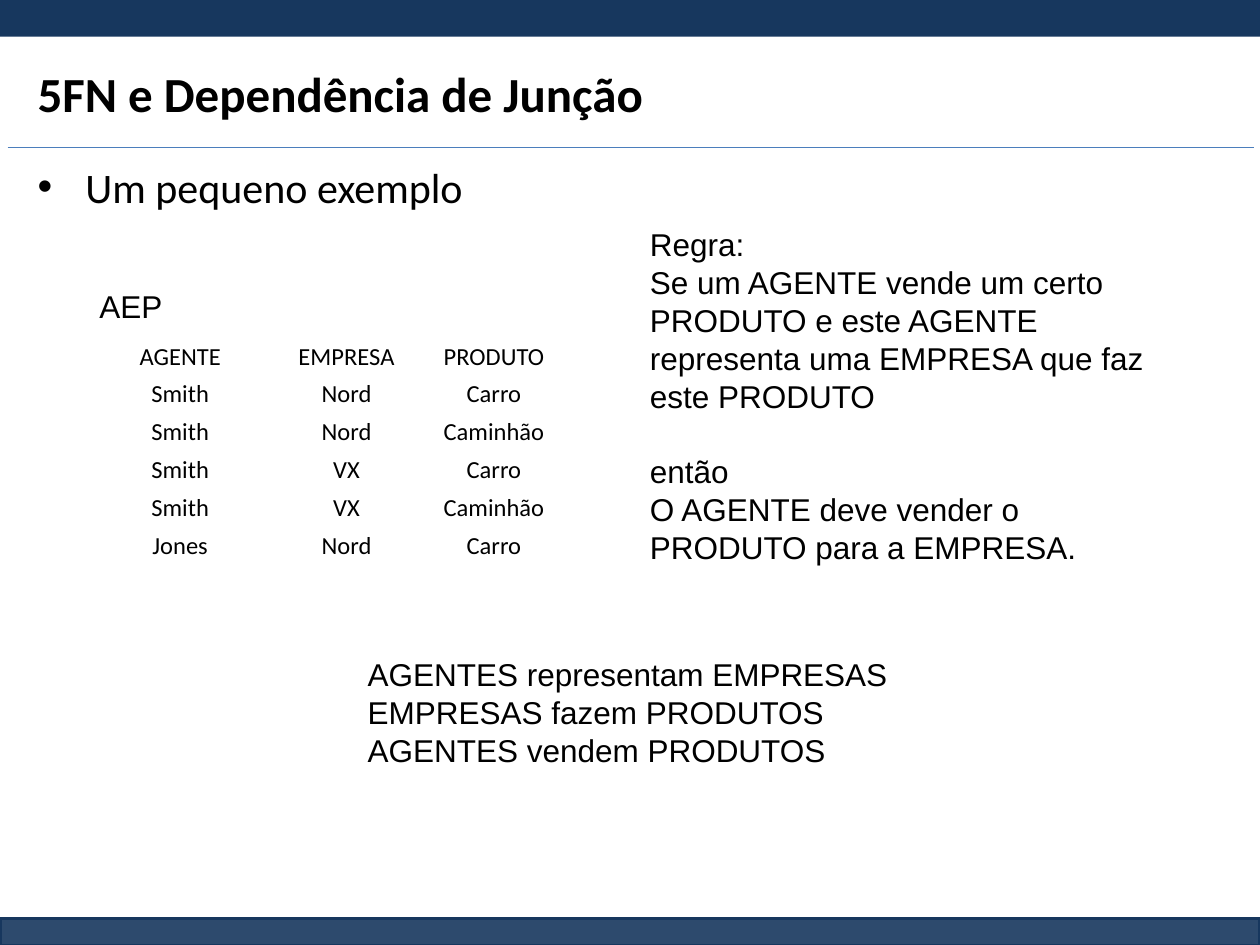
from dataclasses import dataclass

from lxml.etree import SubElement
from pptx import Presentation
from pptx.dml.color import RGBColor
from pptx.enum.shapes import MSO_CONNECTOR, MSO_SHAPE
from pptx.enum.text import MSO_ANCHOR, PP_ALIGN
from pptx.oxml.ns import qn
from pptx.util import Inches, Pt

COLORS = {"navy": "17375E", "rule": "4B7EBC", "text": "000000", "white": "FFFFFF"}


@dataclass
class Band:
    top: float
    height: float
    opacity: int = 100
    border: float = 0


@dataclass
class Note:
    left: float
    top: float
    width: float
    height: float
    lines: list[str]
    wrap: bool = True
    double_spaced: int = -1


BANDS = [Band(7.29, 0.22, opacity=90, border=2), Band(0, 0.29)]
COLUMN_WIDTHS = [1.48, 1.16, 1.18]
ROW_HEIGHT = 0.3
SALES = [
    ("AGENTE", "EMPRESA", "PRODUTO"),
    ("Smith", "Nord", "Carro"),
    ("Smith", "Nord", "Caminhão"),
    ("Smith", "VX", "Carro"),
    ("Smith", "VX", "Caminhão"),
    ("Jones", "Nord", "Carro"),
]
NOTES = [
    Note(2.82, 5.15, 4.47, 1.01, [
        "AGENTES representam EMPRESAS",
        "EMPRESAS fazem PRODUTOS",
        "AGENTES vendem PRODUTOS",
    ]),
    Note(5.06, 1.74, 4.36, 2.83, [
        "Regra:",
        "Se um AGENTE vende um certo PRODUTO e este AGENTE "
        "representa uma EMPRESA que faz este PRODUTO",
        "então",
        "O AGENTE deve vender o PRODUTO para a EMPRESA.",
    ], double_spaced=2),
    Note(0.69, 2.23, 0.71, 0.4, ["AEP"], wrap=False),
]


def color(name: str) -> RGBColor:
    return RGBColor.from_string(COLORS[name])


def write(frame, lines: list[str], *, size: float = 18, font: str = "Arial",
          bold: bool = False, align=PP_ALIGN.LEFT, anchor=MSO_ANCHOR.TOP,
          wrap: bool = True, hanging: float = 0, bullet: str = "",
          space_before: float = 0, double_spaced: int = -1) -> None:
    frame.word_wrap = wrap
    frame.vertical_anchor = anchor
    for index, line in enumerate(lines):
        paragraph = frame.add_paragraph() if index else frame.paragraphs[0]
        paragraph.alignment = align
        paragraph.space_before = Pt(space_before)
        if index == double_spaced:
            paragraph.line_spacing = 2.0
        run = paragraph.add_run()
        run.text = line
        run.font.size = Pt(size)
        run.font.name = font
        run.font.bold = bold
        run.font.color.rgb = color("text")
        properties = paragraph._p.get_or_add_pPr()
        if hanging:
            properties.set("marL", str(Inches(hanging)))
            properties.set("indent", str(-Inches(hanging)))
        if bullet:
            SubElement(properties, qn("a:buFont")).set("typeface", "Arial")
            SubElement(properties, qn("a:buChar")).set("char", bullet)


def add_text(slide, left: float, top: float, width: float, height: float,
             lines: list[str], **text_format) -> None:
    box = slide.shapes.add_textbox(Inches(left), Inches(top), Inches(width), Inches(height))
    write(box.text_frame, lines, **text_format)


def add_band(slide, band: Band) -> None:
    bar = slide.shapes.add_shape(MSO_SHAPE.RECTANGLE, Inches(0), Inches(band.top),
                                 Inches(10), Inches(band.height))
    bar.shadow.inherit = False
    bar.fill.solid()
    bar.fill.fore_color.rgb = color("navy")
    if band.opacity < 100:
        shade = bar._element.spPr.find(qn("a:solidFill")).find(qn("a:srgbClr"))
        SubElement(shade, qn("a:alpha")).set("val", str(band.opacity * 1000))
    if band.border:
        bar.line.color.rgb = color("navy")
        bar.line.width = Pt(band.border)
    else:
        bar.line.fill.background()


def add_rule(slide) -> None:
    rule = slide.shapes.add_connector(MSO_CONNECTOR.STRAIGHT, Inches(0.06), Inches(1.17),
                                      Inches(9.95), Inches(1.17))
    rule.line.color.rgb = color("rule")
    rule.line.width = Pt(0.75)
    SubElement(rule._element.spPr, qn("a:effectLst"))


def style_cell(cell) -> None:
    properties = cell._tc.get_or_add_tcPr()
    for side in ("lnL", "lnR", "lnT", "lnB"):
        border = SubElement(properties, qn(f"a:{side}"))
        border.set("w", str(Pt(1)))
        paint = SubElement(border, qn("a:solidFill"))
        SubElement(paint, qn("a:srgbClr")).set("val", COLORS["white"])
    cell.fill.solid()
    cell.fill.fore_color.rgb = color("white")
    cell.margin_left = cell.margin_right = Inches(0.08)
    cell.margin_top = cell.margin_bottom = 0
    cell.vertical_anchor = MSO_ANCHOR.MIDDLE


def add_sales(slide) -> None:
    sales = slide.shapes.add_table(
        len(SALES), len(COLUMN_WIDTHS), Inches(0.69), Inches(2.68),
        Inches(sum(COLUMN_WIDTHS)), Inches(ROW_HEIGHT * len(SALES))).table
    sales.first_row = sales.horz_banding = False
    for column, width in zip(sales.columns, COLUMN_WIDTHS):
        column.width = Inches(width)
    for row, values in zip(sales.rows, SALES):
        row.height = Inches(ROW_HEIGHT)
        for cell, value in zip(row.cells, values):
            write(cell.text_frame, [value], size=14, font="Calibri",
                  align=PP_ALIGN.CENTER, anchor=None, wrap=None, hanging=0.49)
            style_cell(cell)


def main() -> None:
    deck = Presentation()
    deck.slide_width, deck.slide_height = Inches(10), Inches(7.5)
    slide = deck.slides.add_slide(deck.slide_layouts[6])
    for band in BANDS:
        add_band(slide, band)
    add_rule(slide)
    add_text(slide, 0.2, 0.38, 9.61, 0.71, ["5FN e Dependência de Junção"],
             size=28, font="Calibri", bold=True, anchor=MSO_ANCHOR.MIDDLE)
    add_text(slide, 0.2, 1.23, 9.61, 5.95, ["Um pequeno exemplo"], size=24,
             font="Calibri", hanging=0.38, bullet="•", space_before=4.8)
    add_sales(slide)
    for note in NOTES:
        add_text(slide, note.left, note.top, note.width, note.height, note.lines,
                 wrap=note.wrap, double_spaced=note.double_spaced)
    deck.save("out.pptx")


main()
